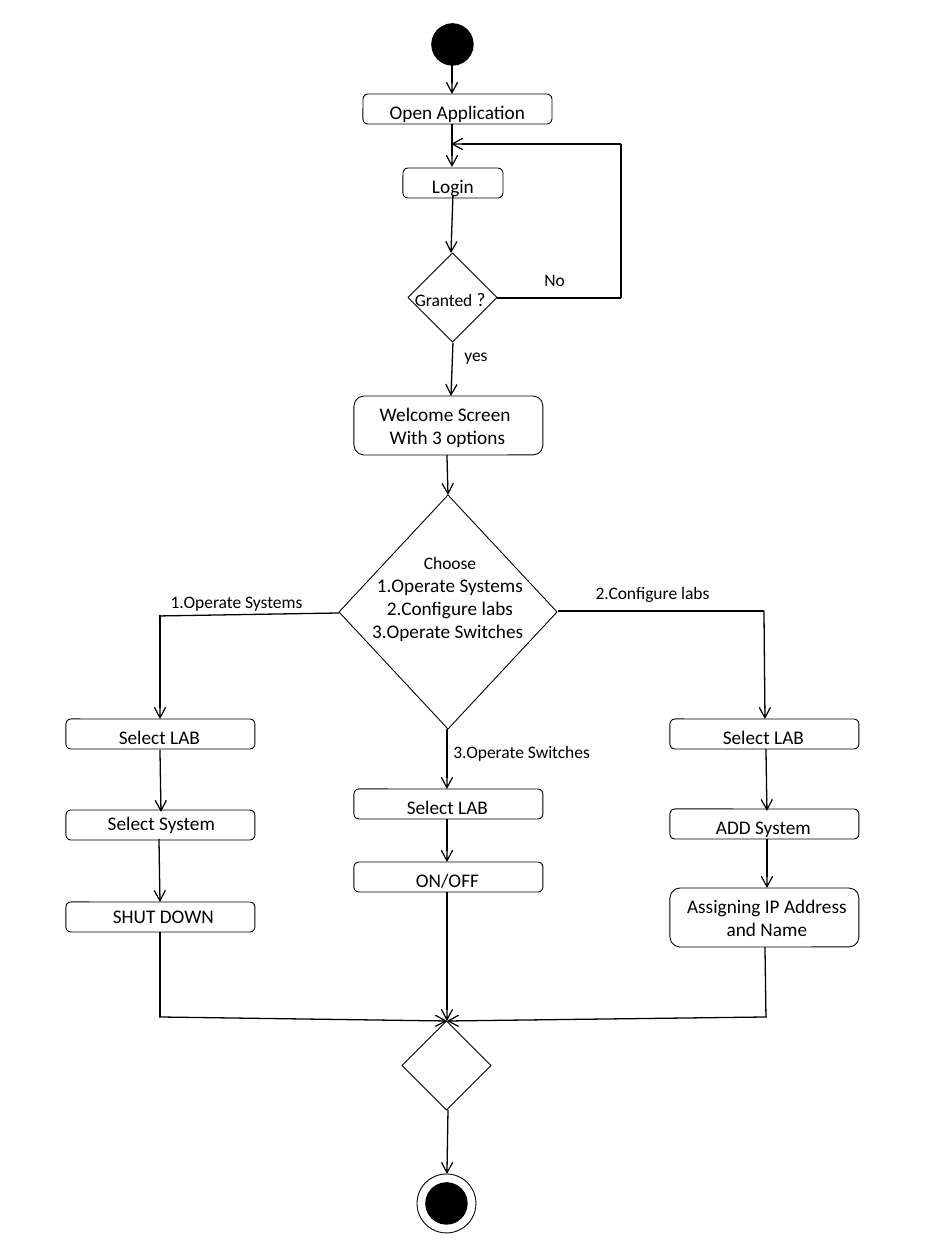
from lxml import etree
from pptx import Presentation, util as u
from pptx.dml.color import RGBColor
from pptx.enum import shapes as sh, text as tx
from pptx.oxml.ns import qn

SCALE = 914400 / 126
INK = {"black": "000000"}
FONT = "Calibri"

# left, top, text, then whatever differs from the usual step
STEPS = [
    (363, 94, ["Open Application"], dict(dx=0, tw=189)),
    (403, 168, ["Login"], dict(w=100, dx=0, tw=100)),
    (354, 396, ["Welcome Screen ", "With 3 options"], dict(h=59)),
    (354, 789, ["Select LAB"], {}),
    (354, 862, ["ON/OFF"], {}),
    (66, 719, ["Select LAB"], {}),
    (66, 810, ["Select System"], dict(dx=6, dy=-5)),
    (66, 902, ["SHUT DOWN"], dict(dx=8, dy=-4)),
    (670, 719, ["Select LAB"], {}),
    (670, 809, ["ADD System"], {}),
    (670, 888, ["Assigning IP Address and Name"], dict(h=59, dx=0, tw=194)),
]
DIAMONDS = [(408, 253, 89, 89), (339, 495, 218, 234), (402, 1021, 89, 89)]
ARROWS = [
    (452, 65, 452, 94), (452, 124, 452, 167), (453, 195, 451, 253),
    (453, 343, 451, 396), (447, 455, 448, 495), (447, 729, 447, 789),
    (447, 819, 447, 862), (447, 892, 447, 1021), (448, 1110, 447, 1174),
    (159, 839, 160, 902), (160, 750, 161, 812), (767, 839, 767, 888),
    (766, 749, 767, 811), (160, 615, 160, 719), (764, 611, 765, 719),
    (159, 1017, 447, 1021), (767, 1017, 447, 1021), (621, 144, 451, 144),
]
LINES = [
    (159, 616, 339, 613), (558, 611, 764, 611), (160, 932, 160, 1017),
    (765, 947, 766, 1017), (497, 298, 621, 298), (621, 144, 621, 298),
]
CENTRE, LEFT = tx.PP_ALIGN.CENTER, tx.PP_ALIGN.LEFT
NOTES = [
    (452, 338, 64, "yes", LEFT),
    (532, 263, 64, "No", LEFT),
    (512, 576, 281, "2.Configure labs", CENTRE),
    (96, 585, 281, "1.Operate Systems", CENTRE),
    (383, 735, 281, "3.Operate Switches ", CENTRE),
]


def px(*vals):
    return [u.Emu(round(v * SCALE)) for v in vals]


def color(name):
    return RGBColor.from_string(INK[name])


def shape(slide, kind, box, fill=None, width=0.5):
    item = slide.shapes.add_shape(kind, *px(*box))
    item.shadow.inherit = False
    if fill:
        item.fill.solid()
        item.fill.fore_color.rgb = color(fill)
    else:
        item.fill.background()
    item.line.color.rgb = color("black")
    item.line.width = u.Pt(width)


def label(slide, box, rows, size=11, align=CENTRE):
    """Each row is a string, or a list of (string, size) runs."""
    frame = slide.shapes.add_textbox(*px(*box)).text_frame
    frame.word_wrap = True
    for i, row in enumerate(rows):
        para = frame.add_paragraph() if i else frame.paragraphs[0]
        para.alignment = align
        for words, points in [(row, size)] if isinstance(row, str) else row:
            run = para.add_run()
            run.text = words
            run.font.name = FONT
            run.font.size = u.Pt(points)
            run.font.color.rgb = color("black")


def step(slide, x, y, rows, w=189, h=30, dx=4, dy=0, tw=179):
    """Rounded box with its text, which sits dx, dy from the box corner."""
    shape(slide, sh.MSO_SHAPE.ROUNDED_RECTANGLE, (x, y, w, h))
    label(slide, (x + dx, y + dy, tw, max(h, 37)), rows)


def link(slide, ends, arrow=False):
    item = slide.shapes.add_connector(sh.MSO_CONNECTOR.STRAIGHT, *px(*ends))
    item.line.color.rgb = color("black")
    item.line.width = u.Pt(0.75)
    if arrow:
        line = item.line._get_or_add_ln()
        etree.SubElement(line, qn("a:tailEnd"), type="arrow")
    etree.SubElement(item._element.spPr, qn("a:effectLst"))


def main():
    deck = Presentation()
    deck.slide_width, deck.slide_height = u.Inches(7.5), u.Inches(10)
    slide = deck.slides.add_slide(deck.slide_layouts[6])

    oval = sh.MSO_SHAPE.OVAL
    shape(slide, oval, (433, 25, 39, 39), fill="black", width=2)
    shape(slide, oval, (427, 1184, 39, 39), fill="black", width=2)
    shape(slide, oval, (417, 1174, 59, 59))

    for x, y, rows, opts in STEPS:
        step(slide, x, y, rows, **opts)
    for box in DIAMONDS:
        shape(slide, sh.MSO_SHAPE.FLOWCHART_DECISION, box)
    label(slide, (388, 281, 129, 37), [[("Granted", 10), (" ? ", 11)]])
    label(slide, (307, 546, 286, 103), [
        [("Choose", 10)], "1.Operate Systems", "2.Configure labs",
        "3.Operate Switches "])

    for ends in ARROWS:
        link(slide, ends, arrow=True)
    for ends in LINES:
        link(slide, ends)
    for x, y, w, words, align in NOTES:
        label(slide, (x, y, w, 34), [words], size=10, align=align)
    deck.save("out.pptx")


if __name__ == "__main__":
    main()
